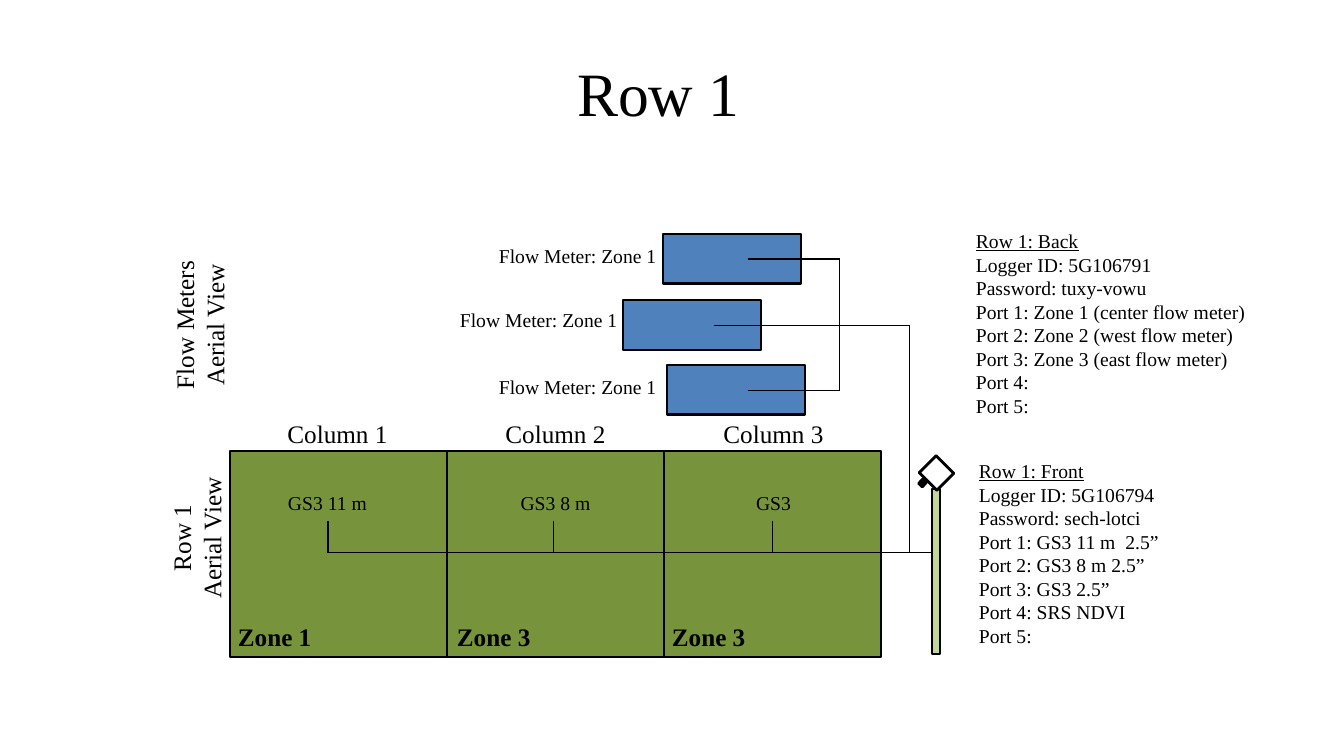
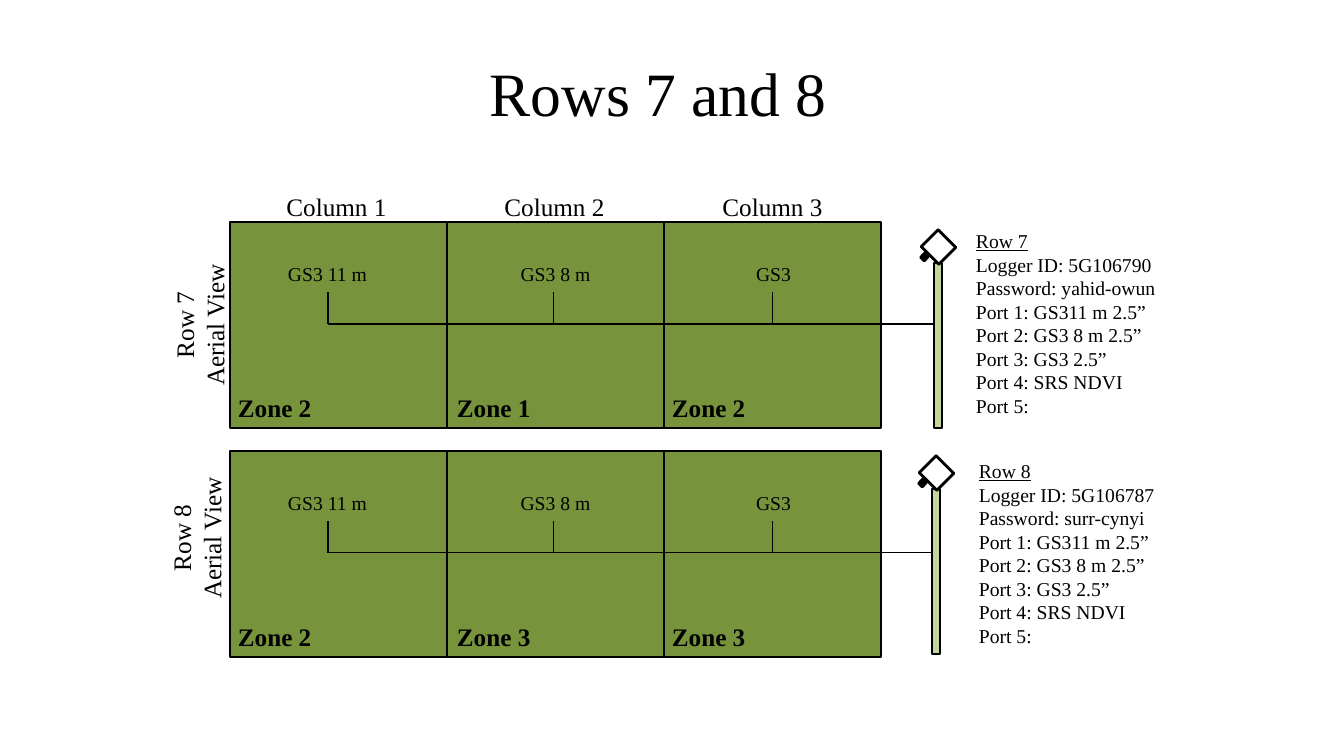
from dataclasses import dataclass

from lxml import etree
from pptx import Presentation
from pptx.dml.color import RGBColor
from pptx.enum.shapes import MSO_CONNECTOR, MSO_SHAPE
from pptx.enum.text import MSO_AUTO_SIZE, PP_ALIGN
from pptx.oxml.ns import qn
from pptx.presentation import Presentation as Deck
from pptx.slide import Slide
from pptx.util import Emu, Pt

RECTANGLE = MSO_SHAPE.RECTANGLE
STRAIGHT = MSO_CONNECTOR.STRAIGHT
FIT_TEXT = MSO_AUTO_SIZE.SHAPE_TO_FIT_TEXT
LEFT = PP_ALIGN.LEFT
CENTER = PP_ALIGN.CENTER

EMU_PER_PIXEL = 914400 / 100.8
FONT = "Times New Roman"
BLACK = "000000"
WHITE = "FFFFFF"
METER_BLUE = "4F81BD"
BED_GREEN = "77933C"
POST_GREEN = "C3D69B"
TITLE_SIZE, HEADING_SIZE, BODY_SIZE = 44, 18, 14
OUTLINE_WIDTH, WIRE_WIDTH = 2, 0.75

BED_LEFT, BED_WIDTH, BED_HEIGHT = 230, 217, 206
WIRE_DROP, STEM_HEIGHT = 102, 32
COLUMN_STEP = 218


@dataclass(frozen=True)
class Box:
    left: int
    top: int
    width: int
    height: int


@dataclass(frozen=True)
class Band:
    bed_top: int
    post_left: int
    post_top: int
    side_label: Box
    logger_left: int
    logger_top: int


@dataclass(frozen=True)
class Sensor:
    name: str
    label_left: int
    stem_x: int
    zone_left: int


@dataclass(frozen=True)
class FlowMeter:
    left: int
    top: int
    label_left: int
    label_top: int


@dataclass(frozen=True)
class Logger:
    name: str
    identifier: str
    password: str
    ports: tuple[str, ...]


UPPER = Band(222, 934, 263, Box(118, 289, 164, 72), 966, 224)
LOWER = Band(451, 932, 489, Box(115, 502, 164, 72), 969, 454)
SENSORS = (
    Sensor("GS3 11 m", 273, 328, 228),
    Sensor("GS3 8 m", 501, 554, 447),
    Sensor("GS3", 719, 773, 662),
)
FLOW_METERS = (
    FlowMeter(663, 234, 489, 239),
    FlowMeter(623, 300, 450, 303),
    FlowMeter(667, 365, 489, 370),
)
METER_WIRES = (
    (714, 326, 910, 326),
    (910, 326, 910, 553),
    (748, 259, 840, 259),
    (748, 391, 840, 391),
    (840, 259, 840, 391),
)
ROW_PORTS = ("GS311 m 2.5”", "GS3 8 m 2.5”", "GS3 2.5”", "SRS NDVI", "")
ROW_1_BACK = Logger(
    "Row 1: Back", "5G106791", "tuxy-vowu",
    ("Zone 1 (center flow meter)", "Zone 2 (west flow meter)",
     "Zone 3 (east flow meter)", "", ""),
)
ROW_1_FRONT = Logger(
    "Row 1: Front", "5G106794", "sech-lotci",
    ("GS3 11 m  2.5”", *ROW_PORTS[1:]),
)
ROW_7 = Logger("Row 7", "5G106790", "yahid-owun", ROW_PORTS)
ROW_8 = Logger("Row 8", "5G106787", "surr-cynyi", ROW_PORTS)


def pixels(length: int) -> Emu:
    return Emu(round(length * EMU_PER_PIXEL))


def color(value: str) -> RGBColor:
    return RGBColor.from_string(value)


def place(box: Box) -> tuple[Emu, Emu, Emu, Emu]:
    return pixels(box.left), pixels(box.top), pixels(box.width), pixels(box.height)


def add_text(slide: Slide, box: Box, text: str, size: int,
             align: PP_ALIGN = LEFT, bold: bool = False,
             underline_first: bool = False, rotation: float = 0) -> None:
    shape = slide.shapes.add_textbox(*place(box))
    shape.rotation = rotation
    text_frame = shape.text_frame
    text_frame.word_wrap = True
    text_frame.auto_size = FIT_TEXT
    text_frame.text = text
    for index, paragraph in enumerate(text_frame.paragraphs):
        paragraph.alignment = align
        for run in paragraph.runs:
            run.font.name = FONT
            run.font.size = Pt(size)
            run.font.bold = bold
            run.font.underline = underline_first and index == 0
            run.font.color.rgb = color(BLACK)


def add_rectangle(slide: Slide, box: Box, fill: str, rotation: float = 0) -> None:
    shape = slide.shapes.add_shape(RECTANGLE, *place(box))
    shape.shadow.inherit = False
    shape.rotation = rotation
    shape.fill.solid()
    shape.fill.fore_color.rgb = color(fill)
    shape.line.color.rgb = color(BLACK)
    shape.line.width = Pt(OUTLINE_WIDTH)


def add_wire(slide: Slide, x1: int, y1: int, x2: int, y2: int) -> None:
    connector = slide.shapes.add_connector(
        STRAIGHT, pixels(x1), pixels(y1), pixels(x2), pixels(y2))
    connector.line.color.rgb = color(BLACK)
    connector.line.width = Pt(WIRE_WIDTH)
    etree.SubElement(connector.element.spPr, qn("a:effectLst"))


def add_side_label(slide: Slide, band: Band, name: str) -> None:
    add_text(slide, band.side_label, f"{name}\nAerial View",
             HEADING_SIZE, CENTER, rotation=270)


def add_logger(slide: Slide, band: Band, logger: Logger, width: int) -> None:
    ports = [f"Port {number}: {use}".rstrip()
             for number, use in enumerate(logger.ports, 1)]
    lines = [logger.name, f"Logger ID: {logger.identifier}",
             f"Password: {logger.password}", *ports]
    add_text(slide, Box(band.logger_left, band.logger_top, width, 201),
             "\n".join(lines), BODY_SIZE, underline_first=True)


def add_post(slide: Slide, band: Band) -> None:
    left, top = band.post_left, band.post_top
    add_rectangle(slide, Box(left, top, 8, 165), POST_GREEN)
    add_rectangle(slide, Box(left - 8, top - 28, 25, 24), WHITE, 45)
    add_rectangle(slide, Box(left - 12, top - 9, 5, 6), BLACK, 42.8)


def add_bed_row(slide: Slide, band: Band, name: str, zones: tuple[int, ...]) -> None:
    top = band.bed_top
    wire_y = top + WIRE_DROP
    for column in range(len(SENSORS)):
        add_rectangle(slide, Box(BED_LEFT + column * BED_WIDTH, top,
                                 BED_WIDTH, BED_HEIGHT), BED_GREEN)
    for sensor, zone in zip(SENSORS, zones):
        add_wire(slide, sensor.stem_x, wire_y, sensor.stem_x, wire_y - STEM_HEIGHT)
        add_text(slide, Box(sensor.label_left, top + 35, 109, 34),
                 sensor.name, BODY_SIZE, CENTER)
        add_text(slide, Box(sensor.zone_left, top + 165, 104, 40),
                 f"Zone {zone}", HEADING_SIZE, bold=True)
    add_post(slide, band)
    add_wire(slide, SENSORS[0].stem_x, wire_y, band.post_left, wire_y)
    add_side_label(slide, band, name)


def add_column_headings(slide: Slide, left: int, top: int) -> None:
    for column in range(len(SENSORS)):
        add_text(slide, Box(left + column * COLUMN_STEP, top, 159, 40),
                 f"Column {column + 1}", HEADING_SIZE, CENTER)


def add_flow_meters(slide: Slide) -> None:
    for meter in FLOW_METERS:
        add_rectangle(slide, Box(meter.left, meter.top, 138, 50), METER_BLUE)
        add_text(slide, Box(meter.label_left, meter.label_top, 187, 34),
                 "Flow Meter: Zone 1", BODY_SIZE)
    for wire in METER_WIRES:
        add_wire(slide, *wire)


def add_titled_slide(presentation: Deck, title: str) -> Slide:
    slide = presentation.slides.add_slide(presentation.slide_layouts[6])
    add_text(slide, Box(279, 50, 759, 85), title, TITLE_SIZE, CENTER)
    return slide


def build_row_1(presentation: Deck) -> None:
    slide = add_titled_slide(presentation, "Row 1")
    add_logger(slide, LOWER, ROW_1_FRONT, 309)
    add_logger(slide, UPPER, ROW_1_BACK, 309)
    add_bed_row(slide, LOWER, "Row 1", (1, 3, 3))
    add_flow_meters(slide)
    add_side_label(slide, UPPER, "Flow Meters")
    add_column_headings(slide, 258, 413)


def build_rows_7_and_8(presentation: Deck) -> None:
    slide = add_titled_slide(presentation, "Rows 7 and 8")
    add_logger(slide, LOWER, ROW_8, 275)
    add_logger(slide, UPPER, ROW_7, 278)
    add_bed_row(slide, LOWER, "Row 8", (2, 3, 3))
    add_bed_row(slide, UPPER, "Row 7", (2, 1, 2))
    add_column_headings(slide, 257, 186)


def main() -> None:
    presentation = Presentation()
    presentation.slide_width = pixels(1344)
    presentation.slide_height = pixels(756)
    build_row_1(presentation)
    build_rows_7_and_8(presentation)
    presentation.save("out.pptx")


main()
